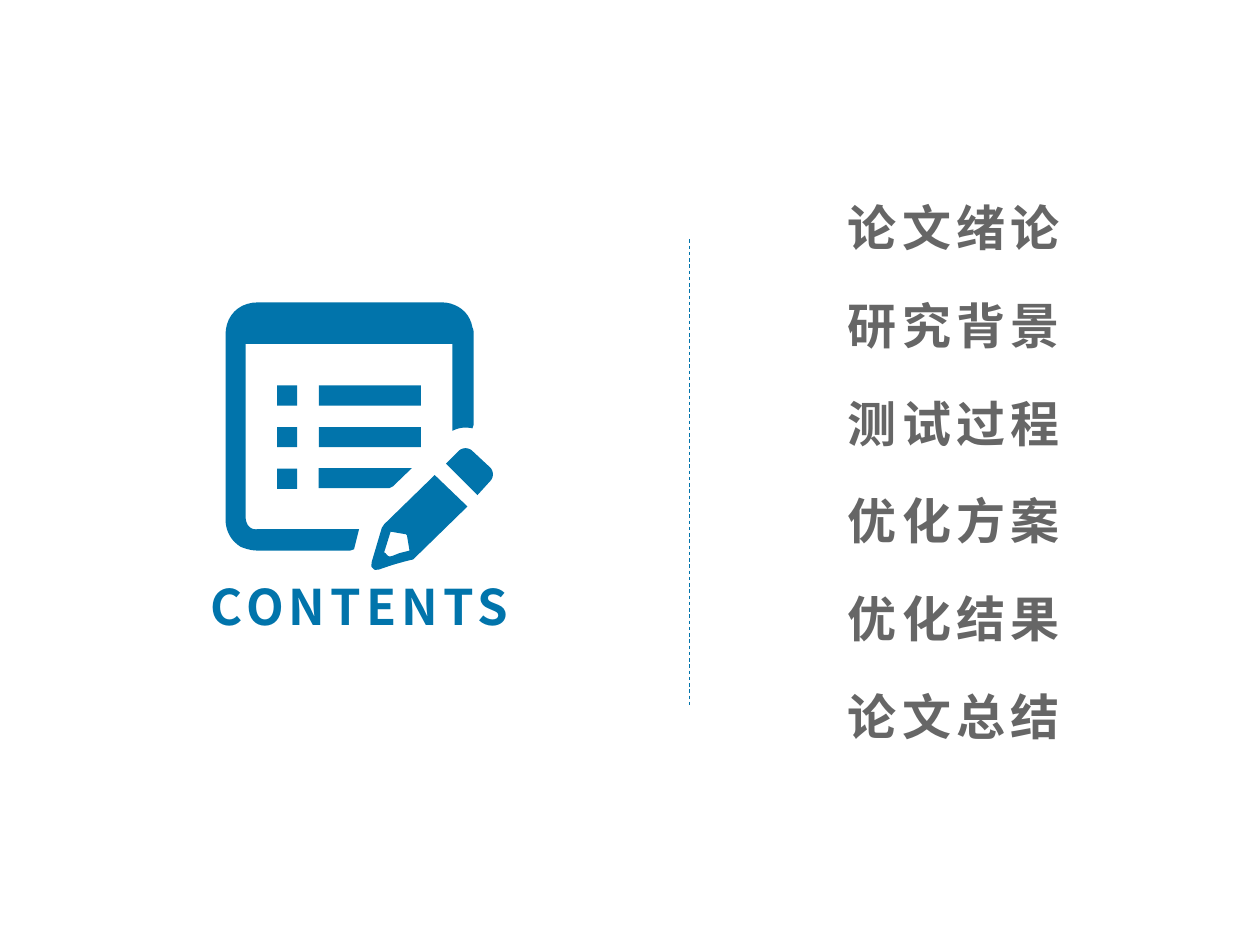
import dataclasses

import lxml.etree
import pptx
import pptx.dml.color
import pptx.enum.dml
import pptx.enum.shapes
import pptx.enum.text
import pptx.oxml.ns
import pptx.util

qn = pptx.oxml.ns.qn


@dataclasses.dataclass(frozen=True)
class Theme:
    accent: pptx.dml.color.RGBColor
    text: pptx.dml.color.RGBColor
    font: str
    size: pptx.util.Pt
    tracking: int  # hundredths of a point
    item_gap: pptx.util.Pt
    rule: pptx.util.Pt


THEME = Theme(
    accent=pptx.dml.color.RGBColor(0x01, 0x74, 0xAB),
    text=pptx.dml.color.RGBColor(0x66, 0x66, 0x66),
    font="Noto Sans CJK SC",
    size=pptx.util.Pt(28),
    tracking=300,
    item_gap=pptx.util.Pt(22.35),
    rule=pptx.util.Pt(0.5),
)

TOPICS = ["论文绪论", "研究背景", "测试过程", "优化方案", "优化结果", "论文总结"]

# Icon outlines on a square grid of ICON_CELLS.
# A pair is a corner; three pairs are the controls and the end of a curve.
ICON_CELLS = 213
SHEET = [
    (106, 180), (102, 196), (99, 197), (26, 197),
    ((21, 197), (17, 196), (12, 194)), ((4, 189), (0, 181), (0, 172)),
    (0, 26), ((0, 11), (10, 0), (26, 0)),
    (171, 0), ((184, 0), (194, 8), (196, 20)), ((197, 22), (197, 24), (197, 26)),
    (197, 97), (196, 100), ((191, 99), (186, 99), (180, 102)),
    (180, 33), (16, 33), (16, 170), ((16, 176), (19, 181), (26, 180)),
]
PENCIL = [
    (166, 137), (192, 162), (152, 201), (149, 204),
    ((140, 206), (130, 209), (122, 212)), ((120, 212), (118, 213), (117, 211)),
    ((115, 210), (116, 208), (116, 206)), (124, 179), (126, 176),
]
PENCIL_TIP = [
    (131, 182), (126, 198), ((126, 198), (126, 199), (127, 199)),
    ((129, 202), (130, 202), (133, 201)), (138, 199), (146, 197), (144, 185), (143, 184),
]
ERASER = [
    (175, 128), (185, 118), ((188, 115), (193, 115), (196, 118)),
    (210, 131), ((213, 134), (213, 139), (210, 142)), (200, 153),
]
CUT_BAR = [(74, 131.5), (148, 131.5), (133, 146), (130, 147.5), (74, 147.5)]
ROW_TOP, ROW_PITCH, ROW_HEIGHT = 66, 33, 16
BULLET, BAR = (41, 16), (74, 81)  # left, width


def apply(target, values):
    for name, value in values.items():
        setattr(target, name, value)


def paint(shape):
    shape.shadow.inherit = False
    shape.fill.solid()
    shape.fill.fore_color.rgb = THEME.accent
    shape.line.fill.background()


def trace(outline, steps=10):
    """Return the outline's points, with each curve divided into steps."""
    points = [outline[0]]
    for part in outline[1:]:
        if len(part) == 2:
            points.append(part)
            continue
        knots = [points[-1], *part]
        for step in range(1, steps + 1):
            t = step / steps
            weights = ((1 - t) ** 3, 3 * t * (1 - t) ** 2, 3 * t * t * (1 - t), t ** 3)
            points.append(tuple(sum(w * knot[axis] for w, knot in zip(weights, knots))
                                for axis in (0, 1)))
    return points


def draw_icon(page, box):
    left, top, width, _ = box
    cell = width / ICON_CELLS
    shapes = page.shapes.add_group_shape().shapes

    def draw_outline(*outlines):
        builder = None
        for outline in outlines:
            points = [(left + x * cell, top + y * cell) for x, y in trace(outline)]
            if builder is None:
                builder = shapes.build_freeform(*points[0], scale=1.0)
            else:
                builder.move_to(*points[0])
            builder.add_line_segments(points[1:], close=True)
        paint(builder.convert_to_shape())

    def draw_block(column, row):
        x, span = column
        y = ROW_TOP + row * ROW_PITCH
        paint(shapes.add_shape(
            pptx.enum.shapes.MSO_SHAPE.RECTANGLE,
            *(round(v) for v in (left + x * cell, top + y * cell,
                                 span * cell, ROW_HEIGHT * cell))))

    draw_outline(SHEET)
    draw_outline(PENCIL, PENCIL_TIP)
    draw_outline(ERASER)
    draw_outline(CUT_BAR)
    for row in range(3):
        draw_block(BULLET, row)
    for row in range(2):
        draw_block(BAR, row)


def write_lines(holder, box, lines, color, align, gap=0):
    """Move a placeholder into the box and fill it with unbulleted lines."""
    apply(holder, dict(zip(("left", "top", "width", "height"), box)))
    frame = holder.text_frame
    inset = pptx.util.Inches(0.05)
    apply(frame, {
        "text": "\n".join(lines),
        "word_wrap": True,
        "auto_size": pptx.enum.text.MSO_AUTO_SIZE.NONE,
        "vertical_anchor": pptx.enum.text.MSO_ANCHOR.TOP,
        "margin_top": inset, "margin_bottom": inset,
        "margin_left": 2 * inset, "margin_right": 2 * inset,
    })
    for para in frame.paragraphs:
        apply(para, {"alignment": align, "line_spacing": 1.0,
                     "space_before": 0, "space_after": gap})
        properties = para._p.get_or_add_pPr()
        properties.set("marL", "0")
        properties.set("indent", "0")
        lxml.etree.SubElement(properties, qn("a:buNone"))
        for span in para.runs:
            apply(span.font, {"name": THEME.font, "size": THEME.size, "bold": True})
            span.font.color.rgb = color
            run_format = span._r.get_or_add_rPr()
            run_format.set("spc", str(THEME.tracking))
            east_asian = lxml.etree.SubElement(run_format, qn("a:ea"))
            east_asian.set("typeface", THEME.font)


def draw_divider(page, box):
    left, top, _, height = box
    divider = page.shapes.add_connector(
        pptx.enum.shapes.MSO_CONNECTOR.STRAIGHT, left, top, left, top + height)
    apply(divider.line, {"width": THEME.rule,
                         "dash_style": pptx.enum.dml.MSO_LINE.DASH})
    divider.line.color.rgb = THEME.accent
    lxml.etree.SubElement(divider._element.spPr, qn("a:effectLst"))


def build_contents_page(deck):
    page = deck.slides.add_slide(deck.slide_layouts[1])
    unit = deck.slide_width / 100  # one percent of the slide's width

    def area(*shares):
        return [round(share * unit) for share in shares]

    align = pptx.enum.text.PP_ALIGN
    draw_divider(page, area(54.7, 19, 0, 37))
    write_lines(page.placeholders[1], area(66.3, 15.15, 19.6, 44.6), TOPICS,
                THEME.text, align.LEFT, THEME.item_gap)
    draw_icon(page, area(17.9, 24, 21.3, 21.3))
    write_lines(page.shapes.title, area(14, 45.25, 29.1, 5.7), ["CONTENTS"],
                THEME.accent, align.CENTER)


def main():
    deck = pptx.Presentation()
    apply(deck, {"slide_width": pptx.util.Inches(10),
                 "slide_height": pptx.util.Inches(7.5)})
    build_contents_page(deck)
    deck.save("out.pptx")


if __name__ == "__main__":
    main()
